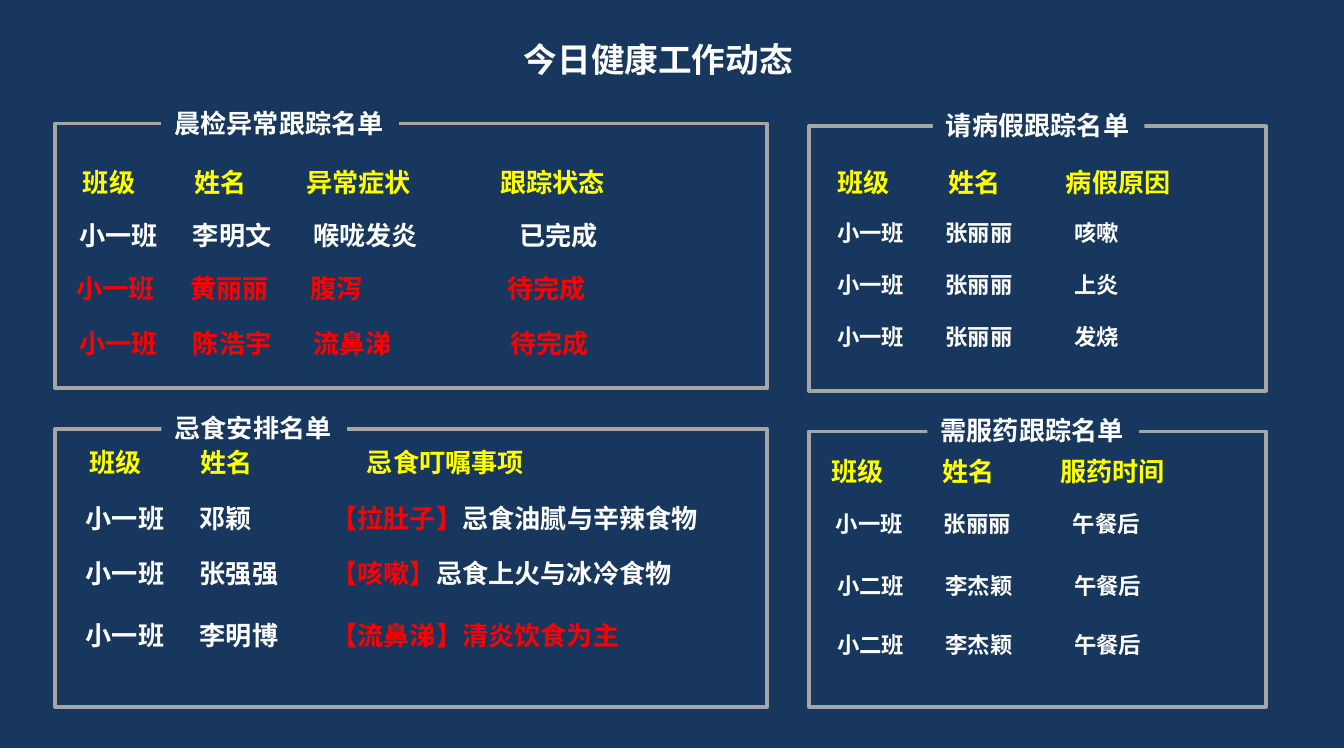
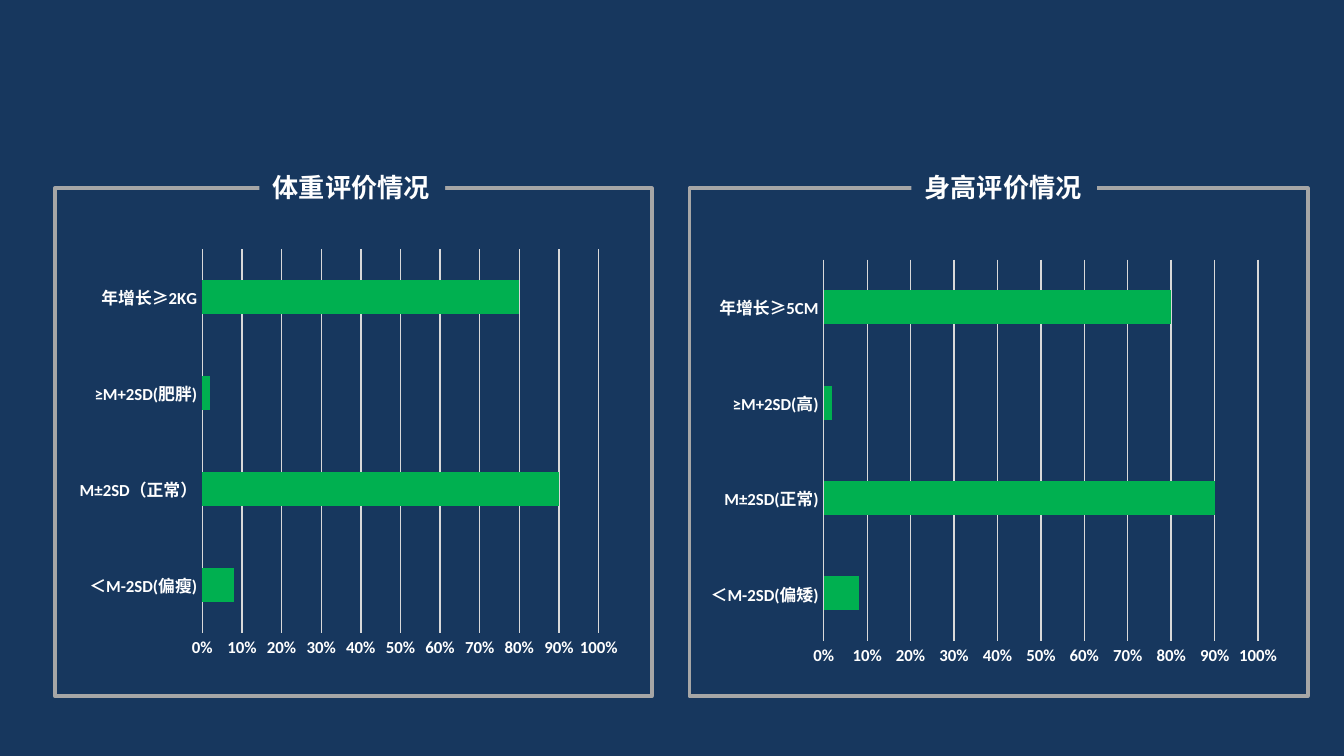
"""Build two slides on daily health work: name lists and growth charts."""
from dataclasses import dataclass

from lxml.etree import SubElement
from pptx import Presentation
from pptx.chart.data import CategoryChartData
from pptx.dml.color import RGBColor
from pptx.enum.chart import XL_CHART_TYPE, XL_TICK_MARK
from pptx.enum.shapes import MSO_SHAPE
from pptx.enum.text import MSO_AUTO_SIZE
from pptx.oxml.ns import qn
from pptx.slide import Slide
from pptx.util import Pt


@dataclass(frozen=True)
class Theme:
    """Colours, fonts and type sizes of the deck."""
    navy: RGBColor = RGBColor(0x17, 0x37, 0x5E)
    white: RGBColor = RGBColor(0xFF, 0xFF, 0xFF)
    yellow: RGBColor = RGBColor(0xFF, 0xFF, 0x00)
    red: RGBColor = RGBColor(0xFF, 0x00, 0x00)
    grey: RGBColor = RGBColor(0xA6, 0xA6, 0xA6)
    pale: RGBColor = RGBColor(0xD9, 0xD9, 0xD9)
    green: RGBColor = RGBColor(0x00, 0xB0, 0x50)
    face: str = "Noto Sans CJK SC"
    latin: str = "Calibri"
    head: float = 18
    body: float = 14
    small: float = 12
    axis: float = 9


T = Theme()
WIDTH, HEIGHT = 720, 405


@dataclass(frozen=True)
class Box:
    """A place on the slide, in points."""
    left: float
    top: float
    width: float
    height: float


@dataclass(frozen=True)
class Frame:
    """A grey outline with a title set into its top edge."""
    box: Box
    title: str
    start: float


@dataclass(frozen=True)
class Row:
    """One line of cells, with an optional red part."""
    left: float
    top: float
    cells: tuple[str, ...]
    color: RGBColor = T.white
    warn: str = ""


@dataclass(frozen=True)
class Panel:
    """A framed list: a yellow head and rows below it."""
    frame: Frame
    head: Row
    stops: tuple[float, ...]
    rows: tuple[Row, ...]
    tabs: tuple[float, ...]
    width: float
    size: float = T.body


@dataclass(frozen=True)
class Graph:
    """A framed bar chart."""
    frame: Frame
    box: Box
    names: tuple[str, ...]


TITLE = Box(273.6, 17.3, 164.2, 29)
SHARES = (0.08, 0.9, 0.02, 0.8)

PANELS = (
    Panel(Frame(Box(29.5, 66.2, 381.6, 141.8), "晨检异常跟踪名单", 86.4),
          Row(37.4, 85.7, ("班级", "姓名", "异常症状", "跟踪状态"), T.yellow),
          (59.5, 119.5, 223.5),
          (Row(35.3, 113.8, ("小一班", "李明文", "喉咙发炎", "已完成")),),
          (61, 125.5, 236), 357.8),
    Panel(Frame(Box(433.4, 67.7, 244.8, 141.8), "请病假跟踪名单", 499.7),
          Row(441.4, 85.7, ("班级", "姓名", "病假原因"), T.yellow),
          (59.5, 122.5),
          tuple(Row(441.4, 113.8 + 28 * i, ("小一班", "张丽丽", cause))
                for i, cause in enumerate(("咳嗽", "上炎", "发烧"))),
          (58, 127), 195.8, T.small),
    Panel(Frame(Box(433.4, 231.1, 244.8, 147.6), "需服药跟踪名单", 496.8),
          Row(438.5, 240.5, ("班级", "姓名", "服药时间"), T.yellow),
          (59.5, 122.5),
          (Row(440.6, 270, ("小一班", "张丽丽", "午餐后")),
           Row(441.4, 303.1, ("小二班", "李杰颖", "午餐后")),
           Row(441.4, 334.8, ("小二班", "李杰颖", "午餐后"))),
          (58, 127), 208.1, T.small),
    Panel(Frame(Box(29.5, 229.7, 381.6, 149), "忌食安排名单", 86.4),
          Row(41, 235.4, ("班级", "姓名", "忌食叮嘱事项"), T.yellow),
          (59.5, 148.5),
          (Row(38.9, 265.7, ("小一班", "邓颖", "【拉肚子】忌食油腻与辛辣食物"),
               warn="【拉肚子】"),
           Row(38.9, 295.2, ("小一班", "张强强", "【咳嗽】忌食上火与冰冷食物"),
               warn="【咳嗽】"),
           Row(38.9, 328.3, ("小一班", "李明博", "【流鼻涕】清炎饮食为主"),
               warn="【流鼻涕】清炎饮食为主")),
          (61, 131.5), 366.5),
)

PENDING = (
    Row(33.8, 142.6, ("小一班", "黄丽丽", "腹泻", "待完成"), T.red),
    Row(35.3, 172.1, ("小一班", "陈浩宇", "流鼻涕", "待完成"), T.red),
)
LATE = (61, 125.5, 231)

GRAPHS = (
    Graph(Frame(Box(29.5, 100.8, 319.7, 272.2), "体重评价情况", 139),
          Box(36.7, 128.9, 300.2, 228.2),
          ("＜M-2SD(偏瘦)", "M±2SD（正常）", "≥M+2SD(肥胖)", "年增长≥2KG")),
    Graph(Frame(Box(369.4, 100.8, 331.2, 272.2), "身高评价情况", 488.2),
          Box(374.4, 134.6, 316.1, 226.8),
          ("＜M-2SD(偏矮)", "M±2SD(正常)", "≥M+2SD(高)", "年增长≥5CM")),
)


def place(box: Box) -> tuple[Pt, Pt, Pt, Pt]:
    """Turn a box into lengths."""
    return Pt(box.left), Pt(box.top), Pt(box.width), Pt(box.height)


def fill_page(slide: Slide, top: float) -> None:
    """Lay the navy ground."""
    ground = slide.shapes.add_shape(
        MSO_SHAPE.RECTANGLE, *place(Box(0, top, WIDTH, HEIGHT)))
    ground.shadow.inherit = False
    ground.fill.solid()
    ground.fill.fore_color.rgb = T.navy
    ground.line.fill.background()


def add_text(slide: Slide, box: Box, text: str, size: float,
             color: RGBColor = T.white, wrap: bool = True,
             tabs: tuple[float, ...] = (), warn: str = "") -> None:
    """Write one bold line on navy, with tab stops and a red part."""
    label = slide.shapes.add_textbox(*place(box))
    label.fill.solid()
    label.fill.fore_color.rgb = T.navy
    frame = label.text_frame
    frame.word_wrap = wrap
    frame.auto_size = MSO_AUTO_SIZE.SHAPE_TO_FIT_TEXT
    line = frame.paragraphs[0]
    font = line.font
    font.size, font.bold, font.name = Pt(size), True, T.face
    font.color.rgb = color
    props = line._p.get_or_add_pPr()
    SubElement(props.find(qn("a:defRPr")), qn("a:ea"), typeface=T.face)
    if tabs:
        stops = SubElement(props, qn("a:tabLst"))
        props.insert(0, stops)
        for stop in tabs:
            SubElement(stops, qn("a:tab"), pos=str(Pt(stop)), algn="l")
    for part in text.partition(warn) if warn else (text,):
        if part:
            run = line.add_run()
            run.text = part
            if part == warn:
                run.font.color.rgb = T.red


def add_frame(slide: Slide, frame: Frame) -> None:
    """Draw an outline and its title."""
    edge = slide.shapes.add_shape(MSO_SHAPE.RECTANGLE, *place(frame.box))
    edge.shadow.inherit = False
    edge.fill.background()
    edge.line.color.rgb = T.grey
    edge.line.width = Pt(2)
    width = len(frame.title) * T.body + 15.4
    add_text(slide, Box(frame.start, frame.box.top - 12.4, width, 24.2),
             frame.title, T.body, wrap=False)


def add_row(slide: Slide, row: Row, width: float, size: float,
            tabs: tuple[float, ...]) -> None:
    """Write the cells of a row at its tab stops."""
    box = Box(row.left, row.top, width, size * 1.3 + 6)
    add_text(slide, box, "\t".join(row.cells), size, row.color,
             tabs=tabs, warn=row.warn)


def add_panel(slide: Slide, panel: Panel) -> None:
    """Draw a framed list."""
    add_frame(slide, panel.frame)
    span = 345.6 if panel.frame.box.width > 300 else 233.3
    add_row(slide, panel.head, span, T.body, panel.stops)
    for row in panel.rows:
        add_row(slide, row, panel.width, panel.size, panel.tabs)


def add_graph(slide: Slide, graph: Graph) -> None:
    """Draw a framed bar chart."""
    add_frame(slide, graph.frame)
    data = CategoryChartData(number_format="0%")
    data.categories = graph.names
    data.add_series("Series 1", SHARES)
    chart = slide.shapes.add_chart(
        XL_CHART_TYPE.BAR_CLUSTERED, *place(graph.box), data).chart
    chart.has_legend = chart.has_title = False
    chart.font.name, chart.font.size = T.latin, Pt(10)
    plot = chart.plots[0]
    plot.vary_by_categories = False
    plot.gap_width = 182
    bars = plot.series[0].format.fill
    bars.solid()
    bars.fore_color.rgb = T.green
    names, scale = chart.category_axis, chart.value_axis
    for axis in (names, scale):
        axis.major_tick_mark = axis.minor_tick_mark = XL_TICK_MARK.NONE
        font = axis.tick_labels.font
        font.name, font.size, font.bold = T.latin, Pt(T.axis), True
        font.color.rgb = T.white
    names.has_major_gridlines = False
    scale.has_major_gridlines = True
    for line in (names.format.line, scale.major_gridlines.format.line):
        line.color.rgb = T.pale
        line.width = Pt(0.75)
    scale.format.line.fill.background()
    scale.minimum_scale, scale.maximum_scale, scale.major_unit = 0, 1, 0.1
    scale.tick_labels.number_format = "0%"
    scale.tick_labels.number_format_is_linked = False


def main() -> None:
    """Build and save the deck."""
    deck = Presentation()
    deck.slide_width, deck.slide_height = Pt(WIDTH), Pt(HEIGHT)
    blank = deck.slide_layouts[6]

    lists = deck.slides.add_slide(blank)
    fill_page(lists, -4.3)
    add_text(lists, TITLE, "今日健康工作动态", T.head)
    for panel in PANELS:
        add_panel(lists, panel)
    for row in PENDING:
        add_row(lists, row, 350.6, T.body, LATE)

    growth = deck.slides.add_slide(blank)
    fill_page(growth, 0)
    for graph in GRAPHS:
        add_graph(growth, graph)

    deck.save("out.pptx")


if __name__ == "__main__":
    main()
